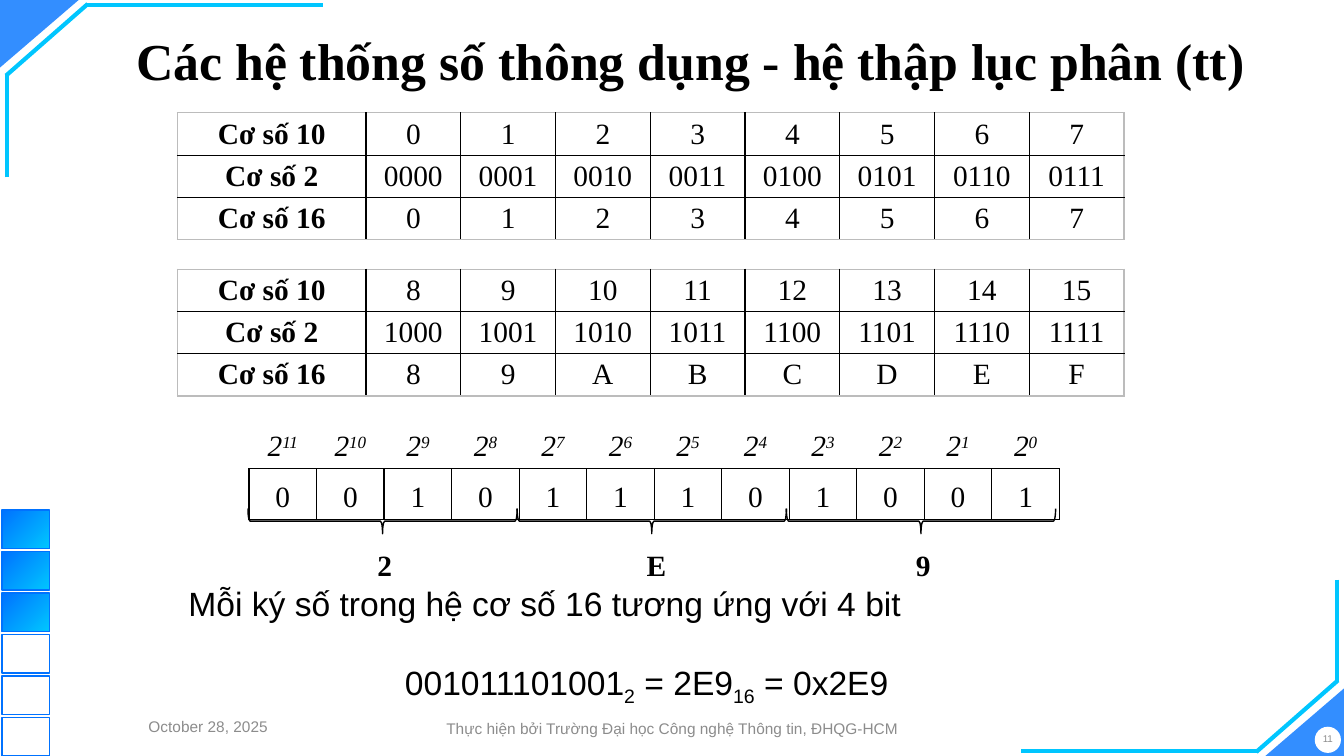
from lxml import etree
from pptx import Presentation
from pptx.dml.color import RGBColor
from pptx.enum.shapes import MSO_CONNECTOR, MSO_SHAPE
from pptx.enum.text import MSO_ANCHOR, MSO_AUTO_SIZE, PP_ALIGN
from pptx.oxml.ns import qn
from pptx.util import Inches, Pt

LEFT, CENTER = PP_ALIGN.LEFT, PP_ALIGN.CENTER
TOP, MIDDLE = MSO_ANCHOR.TOP, MSO_ANCHOR.MIDDLE
TRIANGLE, OVAL = MSO_SHAPE.ISOSCELES_TRIANGLE, MSO_SHAPE.OVAL
RECTANGLE, BRACE = MSO_SHAPE.RECTANGLE, MSO_SHAPE.LEFT_BRACE

# Content
TITLE = "Các hệ thống số thông dụng - hệ thập lục phân (tt)"
BASE_ROWS = [("Cơ số 10", "d"), ("Cơ số 2", "04b"), ("Cơ số 16", "X")]
BASE_TABLES = [(1.12, range(0, 8)), (2.67, range(8, 16))]
BITS = "001011101001"
BIT_TABLES = [(0, 2), (2, 12)]
HEX_DIGITS = "2E9"
RULE = "Mỗi ký số trong hệ cơ số 16 tương ứng với 4 bit"
FORMULA = [("001011101001", False), ("2", True), (" = 2E9", False),
           ("16", True), (" = 0x2E9 ", False)]
FOOTERS = [
    ("Thực hiện bởi Trường Đại học Công nghệ Thông tin, ĐHQG-HCM",
     (3.99, 7.08, 5.36, 0.29), 11),
    ("11", (13.01, 7.17, 0.32, 0.32), 7),
    ("October 28, 2025", (0.92, 7.06, 2.29, 0.29), 11),
]

# Decoration
BLUE, CYAN, BLACK, GRAY, FOOTER_GRAY = "0072FF", "00C6FF", "000000", "BCBCBC", "8C8C8C"
CORNERS = [((0, 0), 180), ((12.55, 6.83), 0)]
CORNER_LINES = [
    (3.2, 0.05, 0.85, 0.05), (0.87, 0.04, 0.06, 0.75), (0.07, 1.76, 0.07, 0.73),
    (10.13, 7.45, 12.48, 7.45), (12.46, 7.46, 13.27, 6.75), (13.26, 5.75, 13.26, 6.77),
]
SQUARES, FILLED_SQUARES = 6, 3

# Layout in inches
BIT_LEFT, BIT_TOP, BIT_WIDTH, BIT_HEIGHT = 2.47, 4.15, 0.67, 0.5
NIBBLE_LEFT, NIBBLE_WIDTH = 2.46, 2.67
BRACE_DEPTH, BRACE_MIDDLE = 0.25, 5.17
SERIF = {"name": "Times New Roman", "size": Pt(21)}
SANS = {"name": "Arial", "size": Pt(24)}


def color(value):
    return RGBColor.from_string(value)


def add_run(paragraph, text, style, baseline=0, rgb=BLACK):
    run = paragraph.add_run()
    run.text = text
    for name, value in style.items():
        setattr(run.font, name, value)
    run.font.color.rgb = color(rgb)
    if baseline:
        run.font._element.set("baseline", str(baseline * 1000))


def add_textbox(box, anchor=TOP):
    frame = slide.shapes.add_textbox(*map(Inches, box)).text_frame
    frame.word_wrap = True
    frame.vertical_anchor = anchor
    return frame


def add_shape(kind, box, fill=None, line=None):
    shape = slide.shapes.add_shape(kind, *map(Inches, box))
    shape.shadow.inherit = False
    if fill:
        shape.fill.solid()
        shape.fill.fore_color.rgb = color(fill)
    else:
        shape.fill.background()
    if line:
        shape.line.color.rgb = color(line)
        shape.line.width = Pt(1)
    else:
        shape.line.fill.background()
    return shape


def add_table(left, top, widths, row_count, row_height):
    table = slide.shapes.add_table(
        row_count, len(widths), Inches(left), Inches(top),
        Inches(sum(widths)), Inches(row_count * row_height)).table
    table.first_row = table.horz_banding = False
    for column, width in zip(table.columns, widths):
        column.width = Inches(width)
    for row in table.rows:
        row.height = Inches(row_height)
    return table


def format_cell(cell, borders, margins, anchor):
    """Borders and margins run left, right, top, bottom."""
    properties = cell._tc.get_or_add_tcPr()
    for side, rgb in zip("LRTB", borders):
        line = etree.SubElement(properties, qn(f"a:ln{side}"), w="12192")
        if rgb:
            fill = etree.SubElement(line, qn("a:solidFill"))
            etree.SubElement(fill, qn("a:srgbClr"), val=rgb)
        else:
            etree.SubElement(line, qn("a:noFill"))
    cell.fill.background()
    for side, margin in zip(("left", "right", "top", "bottom"), margins):
        setattr(cell, f"margin_{side}", Inches(margin))
    cell.vertical_anchor = anchor
    paragraph = cell.text_frame.paragraphs[0]
    paragraph.alignment = CENTER
    return paragraph


presentation = Presentation()
presentation.slide_width, presentation.slide_height = Inches(13.33), Inches(7.5)
slide = presentation.slides.add_slide(presentation.slide_layouts[5])

# Corners and page number disc
for (left, top), rotation in CORNERS:
    triangle = add_shape(TRIANGLE, (left, top, 0.78, 0.67), BLUE)
    triangle.adjustments[0] = 1
    triangle.rotation = rotation
    rgb_element = triangle._element.spPr.find(".//" + qn("a:srgbClr"))
    etree.SubElement(rgb_element, qn("a:alpha"), val="80000")
for ends in CORNER_LINES:
    connector = slide.shapes.add_connector(MSO_CONNECTOR.STRAIGHT, *map(Inches, ends))
    connector.line.color.rgb = color(CYAN)
    connector.line.width = Pt(3)
    etree.SubElement(connector._element.spPr, qn("a:effectLst"))
add_shape(OVAL, (13.04, 7.21, 0.26, 0.26), "FFFFFF")

# Column of squares
for index in range(SQUARES):
    square = add_shape(RECTANGLE, (0.02, 5.06 + index * 0.412, 0.47, 0.38), line=BLUE)
    if index < FILLED_SQUARES:
        square.fill.gradient()
        square.fill.gradient_angle = 315
        for stop, rgb in zip(square.fill.gradient_stops, (BLUE, CYAN)):
            stop.color.rgb = color(rgb)

# Title
title = slide.shapes.title
title.left, title.top, title.width, title.height = map(Inches, (1.25, 0.16, 11.5, 0.98))
title.text_frame.auto_size = MSO_AUTO_SIZE.NONE
title.text_frame.vertical_anchor = MIDDLE
paragraph = title.text_frame.paragraphs[0]
paragraph.alignment = LEFT
paragraph.line_spacing = 0.8
add_run(paragraph, TITLE, {**SERIF, "size": Pt(37), "bold": True})

# Base 10, 2 and 16 tables
for top, numbers in BASE_TABLES:
    table = add_table(1.76, top, [1.87] + [0.94] * len(numbers), len(BASE_ROWS), 0.42)
    last_row, last_column = len(BASE_ROWS) - 1, len(numbers)
    for row, (label, number_format) in enumerate(BASE_ROWS):
        texts = [label] + [format(number, number_format) for number in numbers]
        for column, text in enumerate(texts):
            outer = (column == 0, column == last_column, row == 0, row == last_row)
            borders = [GRAY if edge else BLACK for edge in outer]
            paragraph = format_cell(table.cell(row, column), borders,
                                    (0.07, 0.07, 0.05, 0.03), TOP)
            add_run(paragraph, text, {**SERIF, "bold": column == 0})

# Powers of two above the bits
for first, end in BIT_TABLES:
    table = add_table(BIT_LEFT + first * BIT_WIDTH, BIT_TOP,
                      [BIT_WIDTH] * (end - first), 2, BIT_HEIGHT)
    for position in range(first, end):
        power, bit = (format_cell(table.cell(row, position - first), borders,
                                  (0.06, 0.06, 0.12, 0.05), MIDDLE)
                      for row, borders in enumerate([(None, None, None, BLACK), [BLACK] * 4]))
        add_run(power, "2", {**SERIF, "italic": True})
        add_run(power, str(len(BITS) - 1 - position), {**SERIF, "italic": True}, 30)
        add_run(bit, BITS[position], SERIF)

# Braces with hexadecimal digits
for index, digit in enumerate(HEX_DIGITS):
    center = NIBBLE_LEFT + (index + 0.5) * NIBBLE_WIDTH
    brace = add_shape(BRACE, (center - BRACE_DEPTH / 2, BRACE_MIDDLE - NIBBLE_WIDTH / 2,
                              BRACE_DEPTH, NIBBLE_WIDTH), line=BLACK)
    brace.rotation = 270
    frame = add_textbox((center - 0.15, 5.38, 0.3, 0.45))
    add_run(frame.paragraphs[0], digit, {**SERIF, "bold": True})

# Rule and formula
frame = add_textbox((1.77, 5.73, 9.38, 1.31))
add_run(frame.paragraphs[0], RULE, SANS)
formula = frame.add_paragraph()
formula.alignment = CENTER
formula.space_before = Pt(27.6)
for text, is_subscript in FORMULA:
    add_run(formula, text, SANS, -25 if is_subscript else 0)

# Footer
for text, box, size in FOOTERS:
    paragraph = add_textbox(box, MIDDLE).paragraphs[0]
    paragraph.alignment = CENTER
    add_run(paragraph, text, {**SANS, "size": Pt(size)}, rgb=FOOTER_GRAY)

presentation.save("out.pptx")
